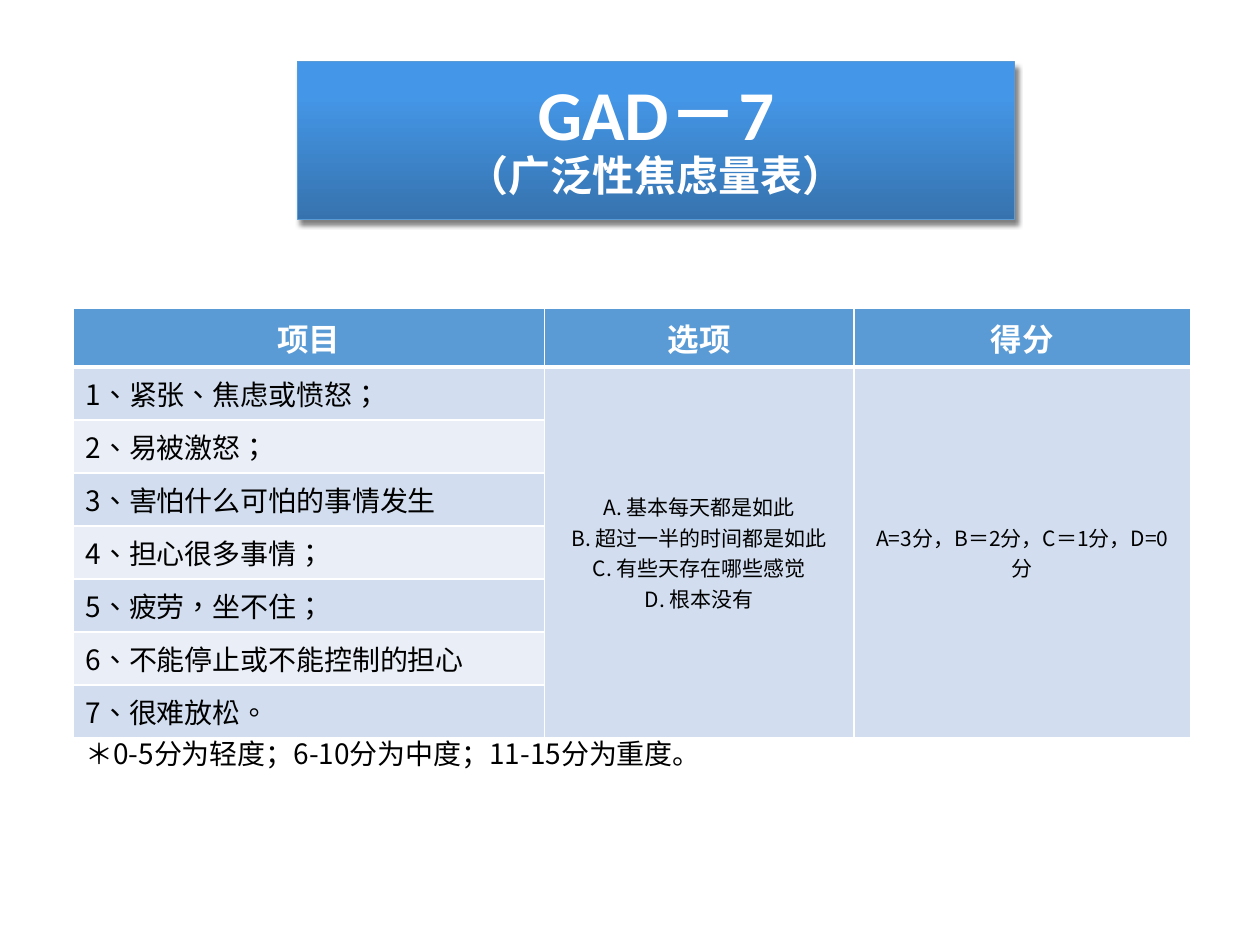
from lxml import etree
from pptx import Presentation
from pptx.dml.color import RGBColor
from pptx.enum.lang import MSO_LANGUAGE_ID
from pptx.enum.shapes import MSO_SHAPE
from pptx.enum.text import MSO_ANCHOR, PP_ALIGN
from pptx.oxml import parse_xml
from pptx.oxml.ns import nsdecls, qn
from pptx.util import Inches, Pt

RECT = MSO_SHAPE.RECTANGLE
MIDDLE, TOP = MSO_ANCHOR.MIDDLE, MSO_ANCHOR.TOP
CENTER, LEFT = PP_ALIGN.CENTER, PP_ALIGN.LEFT
CHINA = MSO_LANGUAGE_ID.SIMPLIFIED_CHINESE
TAIWAN = MSO_LANGUAGE_ID.TRADITIONAL_CHINESE
LATIN, HAN = "Calibri", "Noto Sans CJK SC"
COLORS = {
    "white": "FFFFFF", "black": "000000", "head": "5B9BD5",
    "odd": "D2DEEF", "even": "EAEFF7", "light": "4497E8", "dark": "3673AE",
}
ITEMS = [
    "1、紧张、焦虑或愤怒；", "2、易被激怒；", "3、害怕什么可怕的事情发生",
    "4、担心很多事情；", "5、疲劳，坐不住；", "6、不能停止或不能控制的担心",
    "7、很难放松。",
]
CHOICES = ["A. 基本每天都是如此", "B. 超过一半的时间都是如此",
           "C. 有些天存在哪些感觉", "D. 根本没有"]
SCORE = "A=3分，B＝2分，C＝1分，D=0分"


class Deck:
    def __init__(self):
        self.prs = Presentation()
        self.prs.slide_width, self.prs.slide_height = Inches(10), Inches(7.5)
        self.slide = self.prs.slides.add_slide(self.prs.slide_layouts[6])

    def color(self, name):
        return RGBColor.from_string(COLORS[name])

    def run(self, para, text, size, color="black", bold=False, face=HAN, lang=CHINA):
        run = para.add_run()
        run.text = text
        font = run.font
        font.size, font.bold, font.name = Pt(size), bold, face
        font.color.rgb = self.color(color)
        font.language_id = lang
        east = etree.SubElement(run._r.get_or_add_rPr(), qn("a:ea"))
        east.set("typeface", HAN)

    def banner(self, x, y, w, h, lines):
        box = self.slide.shapes.add_shape(
            RECT, Inches(x), Inches(y), Inches(w), Inches(h))
        box.fill.gradient()
        box.fill.gradient_angle = 270
        for stop, name, spot in zip(box.fill.gradient_stops, ("light", "dark"), (0.2, 1)):
            stop.color.rgb, stop.position = self.color(name), spot
        box.line.color.rgb = self.color("head")
        box.line.width = Pt(0.5)
        box._element.spPr.append(parse_xml(
            f'<a:effectLst {nsdecls("a")}><a:outerShdw blurRad="38100" dist="38100" '
            'dir="3600000" rotWithShape="0"><a:srgbClr val="000000">'
            '<a:alpha val="50000"/></a:srgbClr></a:outerShdw></a:effectLst>'))
        frame = box.text_frame
        frame.word_wrap, frame.vertical_anchor = True, MIDDLE
        para = frame.paragraphs[0]
        para.alignment, para.line_spacing = CENTER, 0.9
        for i, (text, size) in enumerate(lines):
            if i:
                para.add_line_break()
            self.run(para, text, size, "white", True, LATIN)

    def note(self, x, y, w, h, text, size):
        box = self.slide.shapes.add_textbox(Inches(x), Inches(y), Inches(w), Inches(h))
        frame = box.text_frame
        frame.word_wrap, frame.vertical_anchor = True, MIDDLE
        self.run(frame.paragraphs[0], text, size)

    def grid(self, x, y, cols, rows):
        shape = self.slide.shapes.add_table(
            len(rows), len(cols), Inches(x), Inches(y),
            Inches(sum(cols)), Inches(sum(rows)))
        table = shape.table
        for col, width in zip(table.columns, cols):
            col.width = Inches(width)
        for r, height in enumerate(rows):
            table.rows[r].height = Inches(height)
            fill = "head" if r == 0 else "odd" if r % 2 else "even"
            for cell in table.rows[r].cells:
                self.border(cell, 3 if r == 1 else 1, 3 if r == 0 else 1)
                cell.fill.solid()
                cell.fill.fore_color.rgb = self.color(fill)
        return table

    def border(self, cell, top, bottom):
        props = cell._tc.get_or_add_tcPr()
        for side, width in zip("LRTB", (1, 1, top, bottom)):
            props.append(parse_xml(
                f'<a:ln{side} {nsdecls("a")} w="{Pt(width)}"><a:solidFill>'
                f'<a:srgbClr val="{COLORS["white"]}"/></a:solidFill></a:ln{side}>'))

    def cell(self, cell, lines, size, align=CENTER, anchor=TOP, **style):
        cell.vertical_anchor = anchor
        frame = cell.text_frame
        for i, text in enumerate(lines):
            para = frame.add_paragraph() if i else frame.paragraphs[0]
            para.alignment = align
            self.run(para, text, size, **style)


def main():
    deck = Deck()

    # Title
    deck.banner(2.36, 0.49, 5.69, 1.25, [("GAD－7", 40), ("（广泛性焦虑量表）", 24)])

    # Scale: items, shared choices and scoring
    table = deck.grid(0.58, 2.45, [3.74, 2.46, 2.67], [0.46] + [0.42] * len(ITEMS))
    for c, text in enumerate(["项目", "选项", "得分"]):
        deck.cell(table.cell(0, c), [text], 18, color="white", bold=True)
    for r, text in enumerate(ITEMS, 1):
        deck.cell(table.cell(r, 0), [text], 16, LEFT, lang=TAIWAN)
    for c, lines in enumerate([CHOICES, [SCORE]], 1):
        table.cell(1, c).merge(table.cell(len(ITEMS), c))
        deck.cell(table.cell(1, c), lines, 12, anchor=MIDDLE)

    # Severity note
    deck.note(0.58, 5.78, 9.16, 0.4, "＊0-5分为轻度；6-10分为中度；11-15分为重度。", 16)

    deck.prs.save("out.pptx")


if __name__ == "__main__":
    main()
